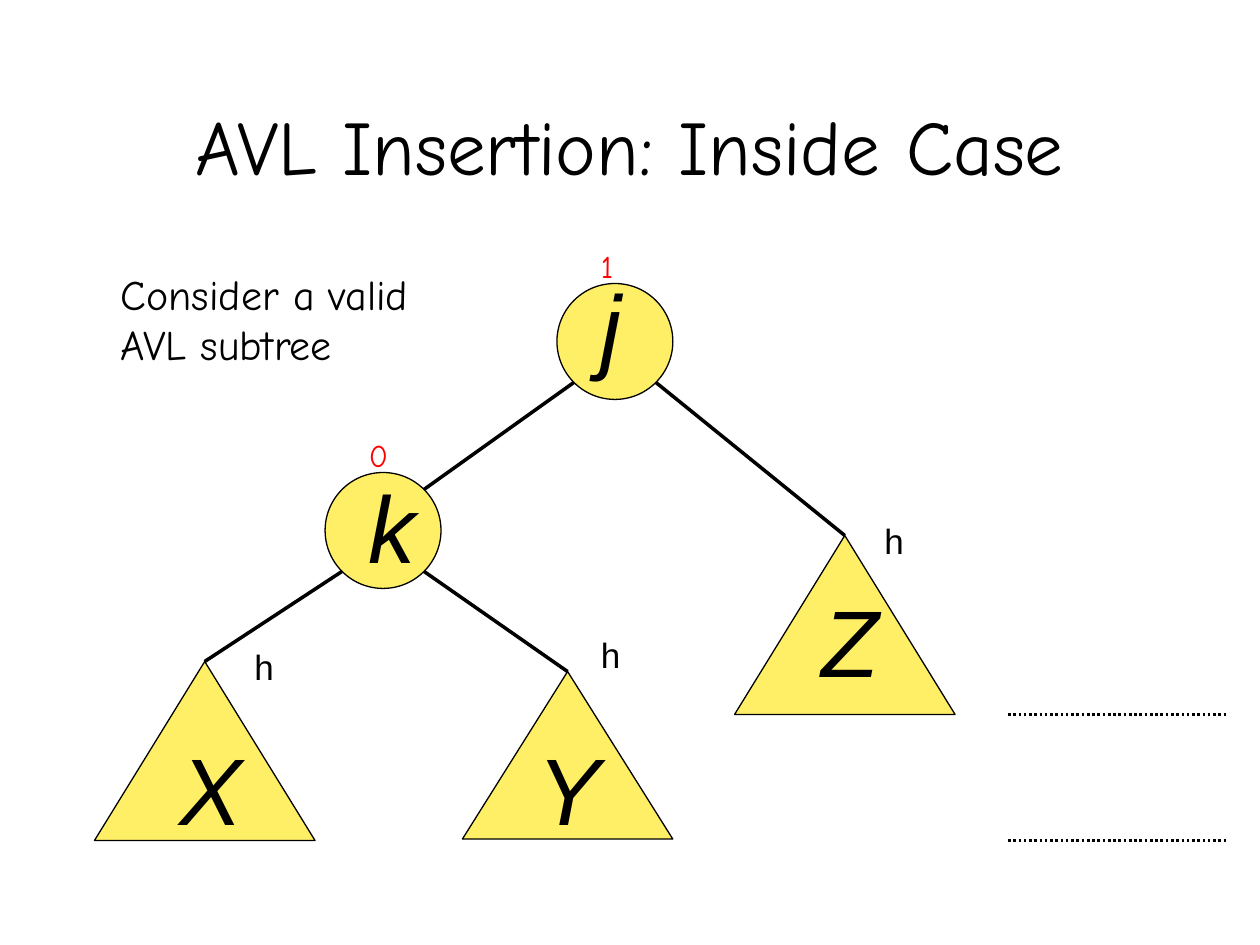
from math import sqrt

from lxml.etree import SubElement
from pptx import Presentation
from pptx.dml.color import RGBColor
from pptx.enum.dml import MSO_LINE
from pptx.enum.shapes import MSO_CONNECTOR, MSO_SHAPE
from pptx.enum.text import MSO_ANCHOR, MSO_AUTO_SIZE, PP_ALIGN
from pptx.oxml.ns import qn
from pptx.util import Inches, Pt

COLORS = {"ink": "000000", "node": "FFEF66", "balance": "FF0000"}
NODE_SIZE = 0.92


def rgb(name):
    return RGBColor.from_string(COLORS[name])


def add_text(slide, box, lines, size, font, color="ink", italic=False, wrap=True,
             align=PP_ALIGN.LEFT, anchor=MSO_ANCHOR.TOP, grow=True):
    frame = slide.shapes.add_textbox(*map(Inches, box)).text_frame
    frame.text = lines
    frame.word_wrap = wrap
    frame.vertical_anchor = anchor
    frame.auto_size = MSO_AUTO_SIZE.SHAPE_TO_FIT_TEXT if grow else MSO_AUTO_SIZE.NONE
    for paragraph in frame.paragraphs:
        paragraph.alignment = align
        for run in paragraph.runs:
            run.font.size = Pt(size)
            run.font.name = font
            run.font.italic = italic
            run.font.color.rgb = rgb(color)


def add_line(slide, start, end, width, dash=None):
    line = slide.shapes.add_connector(MSO_CONNECTOR.STRAIGHT, *map(Inches, (*start, *end)))
    SubElement(line._element.spPr, qn("a:effectLst"))
    line.line.color.rgb = rgb("ink")
    line.line.width = Pt(width)
    if dash:
        line.line.dash_style = dash


def add_yellow_shape(slide, preset, box):
    shape = slide.shapes.add_shape(preset, *map(Inches, box))
    shape.shadow.inherit = False
    shape.fill.solid()
    shape.fill.fore_color.rgb = rgb("node")
    shape.line.color.rgb = rgb("ink")
    shape.line.width = Pt(0.75)


def add_letter(slide, left, top, letter):
    add_text(slide, (left, top, 0.56, 1), letter, 54, "Arial", italic=True)


def add_node(slide, left, top, letter, letter_top, balance):
    """Draw a round node; return its lower left, lower right and upper right points."""
    add_yellow_shape(slide, MSO_SHAPE.OVAL, (left, top, NODE_SIZE, NODE_SIZE))
    add_letter(slide, left + 0.25, letter_top, letter)
    add_text(slide, (left + 0.25, top - 0.34, 0.58, 0.4), balance, 18, "Comic Neue", "balance")
    radius = NODE_SIZE / 2
    reach = radius / sqrt(2)
    x, y = left + radius, top + radius
    return (x - reach, y + reach), (x + reach, y + reach), (x + reach, y - reach)


def add_subtree(slide, box, letter, letter_offset, height_offset):
    """Draw a triangular subtree with its height label; return its apex."""
    left, top, width, _ = box
    add_yellow_shape(slide, MSO_SHAPE.ISOSCELES_TRIANGLE, box)
    add_letter(slide, left + letter_offset[0], top + letter_offset[1], letter)
    add_text(slide, (left + height_offset[0], top + height_offset[1], 0.35, 0.44),
             "h", 20, "Arial", wrap=False)
    return left + width / 2, top


def add_heading(slide):
    add_text(slide, (0.73, 0.71, 8.54, 0.88), "AVL Insertion: Inside Case", 44, "Comic Neue",
             align=PP_ALIGN.CENTER, anchor=MSO_ANCHOR.MIDDLE, grow=False)
    add_text(slide, (0.86, 2.08, 2.48, 0.9), "Consider a valid\nAVL subtree", 24, "Comic Neue",
             wrap=False)


def add_tree(slide, left, top):
    # Nodes
    j_left, j_right, _ = add_node(slide, left + 3.67, top, "j", top - 0.17, "1")
    k_left, k_right, k_top = add_node(slide, left + 1.83, top + 1.5, "k", top + 1.42, "0")

    # Subtrees
    x_apex = add_subtree(slide, (left, top + 3, 1.75, 1.42), "X", (0.58, 0.5), (1.17, -0.18))
    y_apex = add_subtree(slide, (left + 2.92, top + 3.08, 1.67, 1.33), "Y",
                         (0.5, 0.42), (1, -0.35))
    z_apex = add_subtree(slide, (left + 5.08, top + 2, 1.75, 1.42), "Z",
                         (0.59, 0.33), (1.09, -0.18))

    # Edges
    for parent, child in ((j_left, k_top), (j_right, z_apex),
                          (k_left, x_apex), (k_right, y_apex)):
        add_line(slide, parent, child, 2)


def add_level_marks(slide, left, width, levels):
    for level in levels:
        add_line(slide, (left, level), (left + width, level), 1.5, MSO_LINE.ROUND_DOT)


def main():
    presentation = Presentation()
    presentation.slide_width = Inches(10)
    presentation.slide_height = Inches(7.5)
    slide = presentation.slides.add_slide(presentation.slide_layouts[6])
    add_tree(slide, 0.75, 2.25)
    add_level_marks(slide, 8, 1.75, (5.67, 6.67))
    add_heading(slide)
    presentation.save("out.pptx")


if __name__ == "__main__":
    main()
